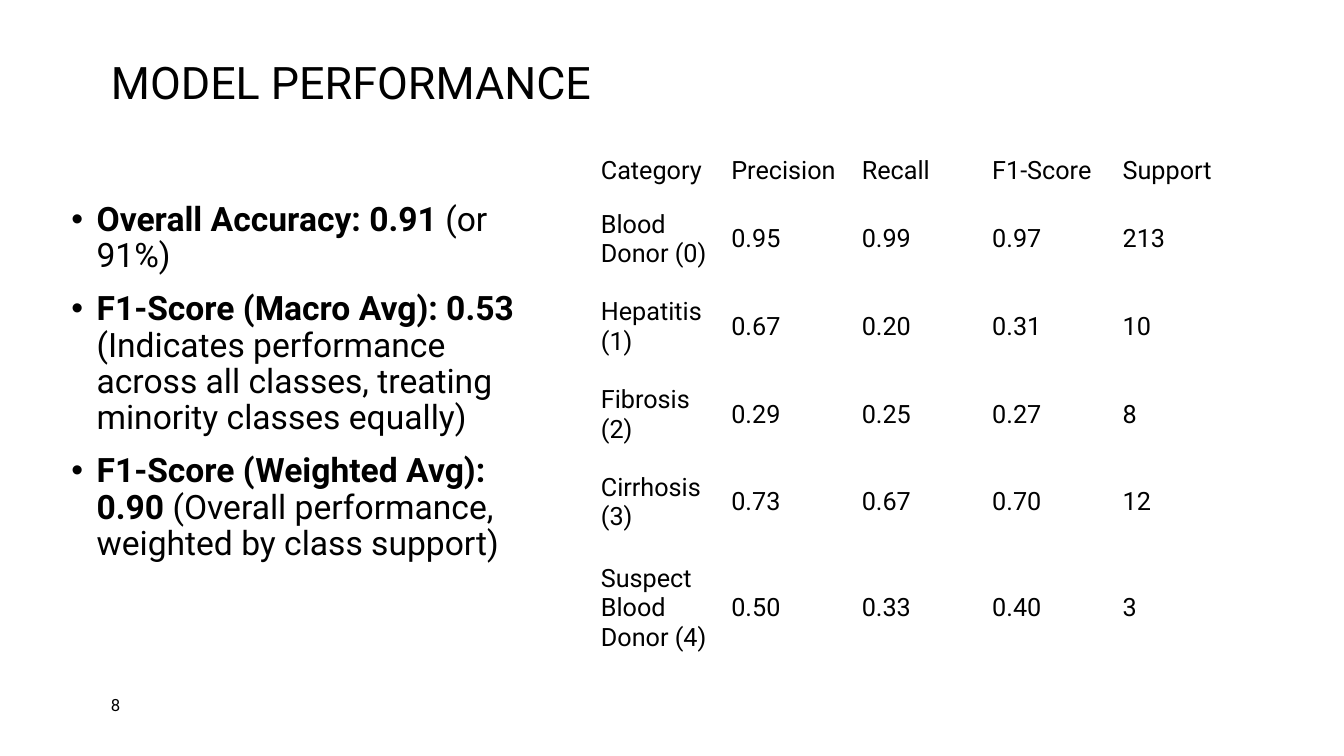
import pptx
import pptx.util
import pptx.dml.color
import pptx.enum.text
import pptx.oxml.ns
from lxml import etree

Inches = pptx.util.Inches
Pt = pptx.util.Pt
BLACK = pptx.dml.color.RGBColor(0, 0, 0)
MIDDLE = pptx.enum.text.MSO_ANCHOR.MIDDLE
LEFT = pptx.enum.text.PP_ALIGN.LEFT


def style(run, size, bold=False):
    run.font.name = "Roboto"
    run.font.size = Pt(size)
    run.font.bold = bold
    run.font.color.rgb = BLACK


deck = pptx.Presentation()
deck.slide_width = Inches(13.33)
deck.slide_height = Inches(7.5)
slide = deck.slides.add_slide(deck.slide_layouts[5])

title = slide.shapes.title
title.left, title.top = Inches(1), Inches(0.4)
title.width, title.height = Inches(11.33), Inches(0.89)
frame = title.text_frame
frame.text = "MODEL PERFORMANCE"
frame.vertical_anchor = MIDDLE
head = frame.paragraphs[0]
head.alignment = LEFT
head.line_spacing = 0.9
style(head.runs[0], 32)

points = [
    ("Overall Accuracy: 0.91", " (or 91%)"),
    ("F1-Score (Macro Avg): 0.53",
     " (Indicates performance across all classes, treating minority classes equally)"),
    ("F1-Score (Weighted Avg): 0.90",
     " (Overall performance, weighted by class support)"),
]
body = slide.shapes.add_textbox(Inches(0.61), Inches(1.96), Inches(4.83), Inches(4.62))
frame = body.text_frame
frame.word_wrap = True
for i, (score, note) in enumerate(points):
    para = frame.paragraphs[0] if i == 0 else frame.add_paragraph()
    para.line_spacing = 0.9
    para.space_after = Pt(12)
    for text, bold in ((score, True), (note, False)):
        run = para.add_run()
        run.text = text
        style(run, 24, bold)
    props = para._p.get_or_add_pPr()
    props.set("marL", str(Inches(0.25)))
    props.set("indent", str(Inches(-0.25)))
    font = etree.SubElement(props, pptx.oxml.ns.qn("a:buFont"))
    font.set("typeface", "Arial")
    mark = etree.SubElement(props, pptx.oxml.ns.qn("a:buChar"))
    mark.set("char", "•")

page = slide.shapes.add_textbox(Inches(1), Inches(6.83), Inches(0.69), Inches(0.32))
frame = page.text_frame
frame.word_wrap = True
frame.vertical_anchor = MIDDLE
frame.text = "8"
style(frame.paragraphs[0].runs[0], 12)

rows = [
    ("Category", "Precision", "Recall", "F1-Score", "Support"),
    ("Blood Donor (0)", "0.95", "0.99", "0.97", "213"),
    ("Hepatitis (1)", "0.67", "0.20", "0.31", "10"),
    ("Fibrosis (2)", "0.29", "0.25", "0.27", "8"),
    ("Cirrhosis (3)", "0.73", "0.67", "0.70", "12"),
    ("Suspect Blood Donor (4)", "0.50", "0.33", "0.40", "3"),
]
heights = [0.48, 0.87, 0.87, 0.87, 0.87, 1.23]
table = slide.shapes.add_table(
    len(rows), len(rows[0]), Inches(5.86), Inches(1.46), Inches(6.47), Inches(5.2)).table
table.first_row = False
table.horz_banding = False
for col in table.columns:
    col.width = Inches(6.47 / len(rows[0]))
for r, (row, height) in enumerate(zip(rows, heights)):
    table.rows[r].height = Inches(height)
    for c, text in enumerate(row):
        cell = table.cell(r, c)
        cell.fill.background()
        cell.vertical_anchor = MIDDLE
        cell.text_frame.text = text
        style(cell.text_frame.paragraphs[0].runs[0], 18)

deck.save("out.pptx")
